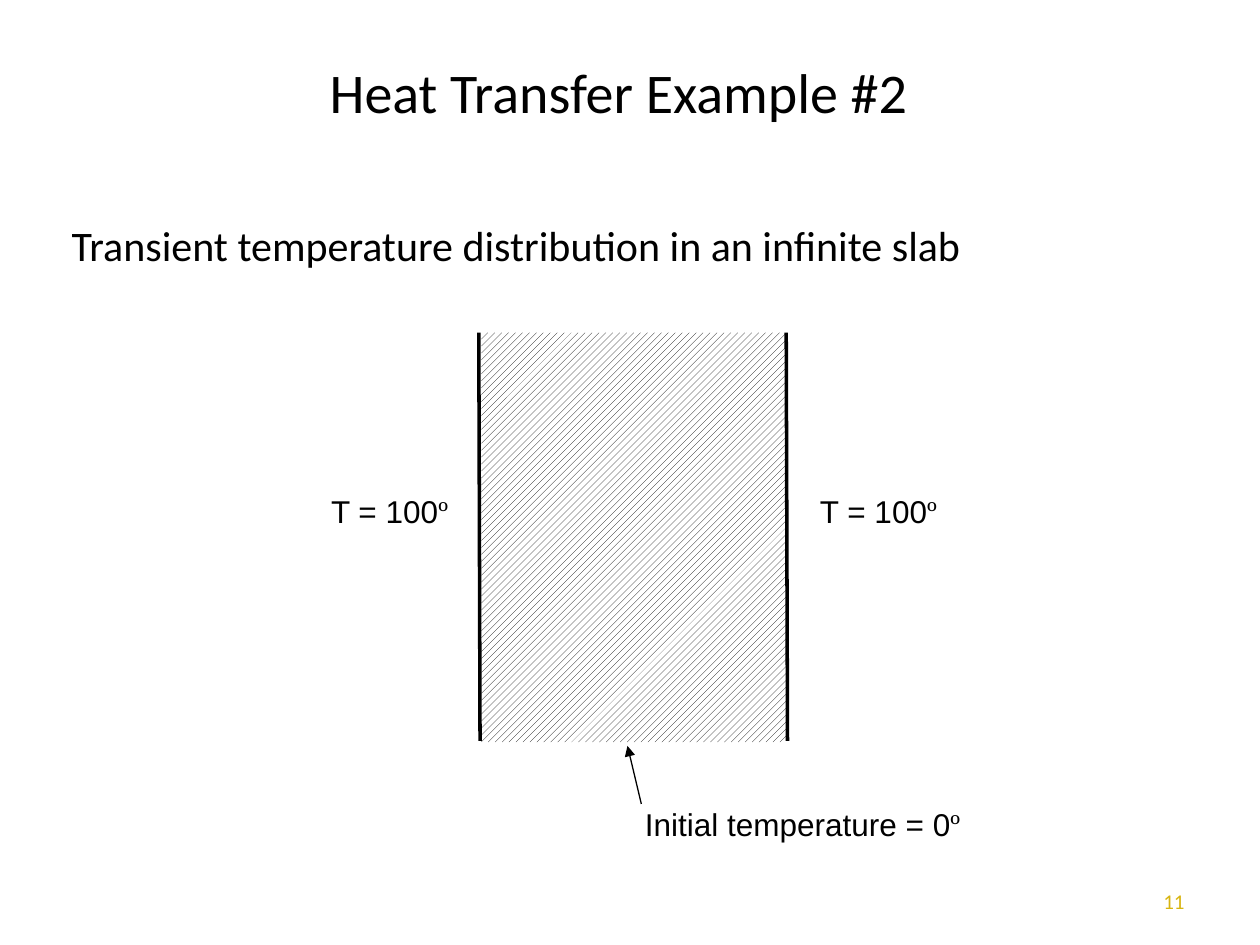
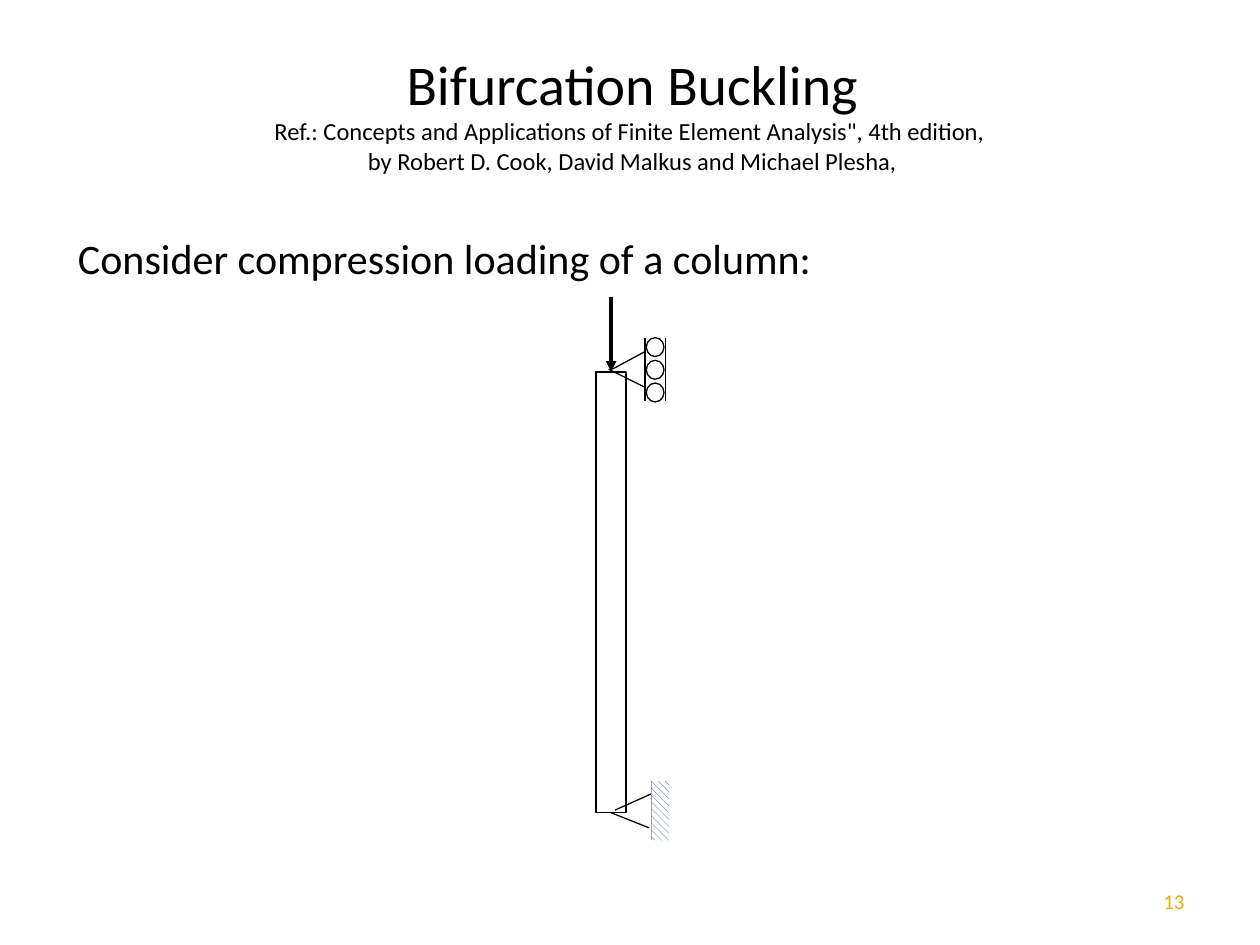
import copy
import typing

import lxml.etree
import pptx
import pptx.dml.color
import pptx.enum.dml
import pptx.enum.shapes
import pptx.enum.text
import pptx.oxml.ns
import pptx.util

SCALE = 9144  # EMU in one px, 100 px to the inch
BLACK = pptx.dml.color.RGBColor(0x00, 0x00, 0x00)
WHITE = pptx.dml.color.RGBColor(0xFF, 0xFF, 0xFF)
GOLD = pptx.dml.color.RGBColor(0xD8, 0xB5, 0x11)
NAVY = pptx.dml.color.RGBColor(0x1F, 0x49, 0x7D)

HEAD = "Calibri"
LABEL = "Arial"
SIGN = "Times New Roman"

KIND = pptx.enum.shapes.MSO_SHAPE
HATCH = pptx.enum.dml.MSO_PATTERN
ALIGN = pptx.enum.text.PP_ALIGN
ANCHOR = pptx.enum.text.MSO_ANCHOR


class Box(typing.NamedTuple):
    left: int
    top: int
    width: int
    height: int


class Bit(typing.NamedTuple):
    """A run of text; a newline in it becomes a line break."""
    text: str
    size: int
    font: str = HEAD
    color: pptx.dml.color.RGBColor = BLACK


class Line(typing.NamedTuple):
    x1: int
    y1: int
    x2: int
    y2: int
    weight: float = 0.75
    arrow: bool = False


def px(value: int) -> pptx.util.Emu:
    return pptx.util.Emu(value * SCALE)


def add_text(slide, box: Box, bits: list[Bit], align=ALIGN.LEFT, anchor=ANCHOR.TOP) -> None:
    frame = slide.shapes.add_textbox(*map(px, box)).text_frame
    frame.word_wrap = True
    frame.vertical_anchor = anchor
    para = frame.paragraphs[0]
    para.alignment = align
    for bit in bits:
        for row, text in enumerate(bit.text.split("\n")):
            if row:
                para.add_line_break()
                # The break takes the style of the run it follows
                para._p[-1].append(copy.deepcopy(run._r.rPr))
            if not text:
                continue
            run = para.add_run()
            run.text = text
            run.font.size = pptx.util.Pt(bit.size)
            run.font.name = bit.font
            run.font.color.rgb = bit.color


def add_line(slide, line: Line):
    link = slide.shapes.add_connector(
        pptx.enum.shapes.MSO_CONNECTOR.STRAIGHT,
        px(line.x1), px(line.y1), px(line.x2), px(line.y2))
    link.line.color.rgb = BLACK
    link.line.width = pptx.util.Pt(line.weight)
    name = pptx.oxml.ns.qn
    props = link._element.spPr
    if line.arrow:
        lxml.etree.SubElement(props.find(name("a:ln")), name("a:tailEnd"), type="triangle")
    lxml.etree.SubElement(props, name("a:effectLst"))
    return link


def add_part(slide, kind, box: Box, weight: float):
    """Draw a white shape with a black outline."""
    part = slide.shapes.add_shape(kind, *map(px, box))
    part.shadow.inherit = False
    part.fill.solid()
    part.fill.fore_color.rgb = WHITE
    part.line.color.rgb = BLACK
    part.line.width = pptx.util.Pt(weight)
    return part


def add_hatch(slide, box: Box, pattern, color: pptx.dml.color.RGBColor) -> None:
    part = slide.shapes.add_shape(KIND.RECTANGLE, *map(px, box))
    part.shadow.inherit = False
    part.fill.patterned()
    part.fill.pattern = pattern
    part.fill.fore_color.rgb = color
    part.fill.back_color.rgb = WHITE
    part.line.fill.background()


def add_degree(slide, box: Box, text: str) -> None:
    """Write a temperature label that ends in a degree sign."""
    add_text(slide, box, [Bit(text, 18, LABEL), Bit("º", 18, SIGN)])


def add_page(deck, number: int, left: int, top: int, title: list[Bit], body: Box, text: str):
    """Start a slide with its number, title and lead sentence."""
    slide = deck.slides.add_slide(deck.slide_layouts[6])
    add_text(slide, Box(717, 695, 233, 40), [Bit(str(number), 12, HEAD, GOLD)],
             ALIGN.RIGHT, ANCHOR.MIDDLE)
    add_text(slide, Box(left, top, 900, 125), title, ALIGN.CENTER)
    add_text(slide, body, [Bit(text, 24)])
    return slide


def add_slab(deck) -> None:
    slide = add_page(deck, 11, 41, 41, [Bit("Heat Transfer Example #2", 32)],
                     Box(47, 169, 900, 57),
                     "Transient temperature distribution in an infinite slab")
    add_hatch(slide, Box(382, 264, 242, 325), HATCH.WIDE_UPWARD_DIAGONAL, BLACK)
    for wall in (380, 624):
        add_line(slide, Line(wall, 264, wall + 1, 588, 2))
    for left in (641, 253):
        add_degree(slide, Box(left, 386, 116, 40), "T = 100")
    add_degree(slide, Box(502, 634, 341, 40), "Initial temperature = 0")
    add_line(slide, Line(509, 638, 498, 592, arrow=True))


def add_column(deck) -> None:
    title = [
        Bit("Bifurcation Buckling\n", 32),
        Bit('Ref.: Concepts and Applications of Finite Element Analysis", 4th edition, \n'
            "by Robert D. Cook, David Malkus and Michael Plesha,", 14),
    ]
    slide = add_page(deck, 13, 52, 34, title, Box(52, 180, 671, 66),
                     "Consider compression loading of a column:")
    column = add_part(slide, KIND.RECTANGLE, Box(473, 295, 24, 350), 1)

    # Roller support at the top
    for strut in (Line(512, 279, 486, 293), Line(511, 307, 483, 293)):
        add_line(slide, strut)
    for rail in (512, 528):
        add_line(slide, Line(rail, 268, rail, 318))
    for row in range(3):
        add_part(slide, KIND.OVAL, Box(513, 268 + 18 * row, 14, 15), 0.75)

    load = add_line(slide, Line(485, 236, 485, 295, 2, True))
    load.end_connect(column, 0)

    # Pinned support at the bottom
    add_line(slide, Line(517, 630, 488, 643))
    brace = add_line(slide, Line(515, 657, 485, 645))
    brace.end_connect(column, 2)
    add_line(slide, Line(517, 620, 517, 667))
    add_hatch(slide, Box(517, 620, 14, 47), HATCH.WIDE_DOWNWARD_DIAGONAL, NAVY)


def main() -> None:
    deck = pptx.Presentation()
    deck.slide_width = px(1000)
    deck.slide_height = px(750)
    add_slab(deck)
    add_column(deck)
    deck.save("out.pptx")


if __name__ == "__main__":
    main()
